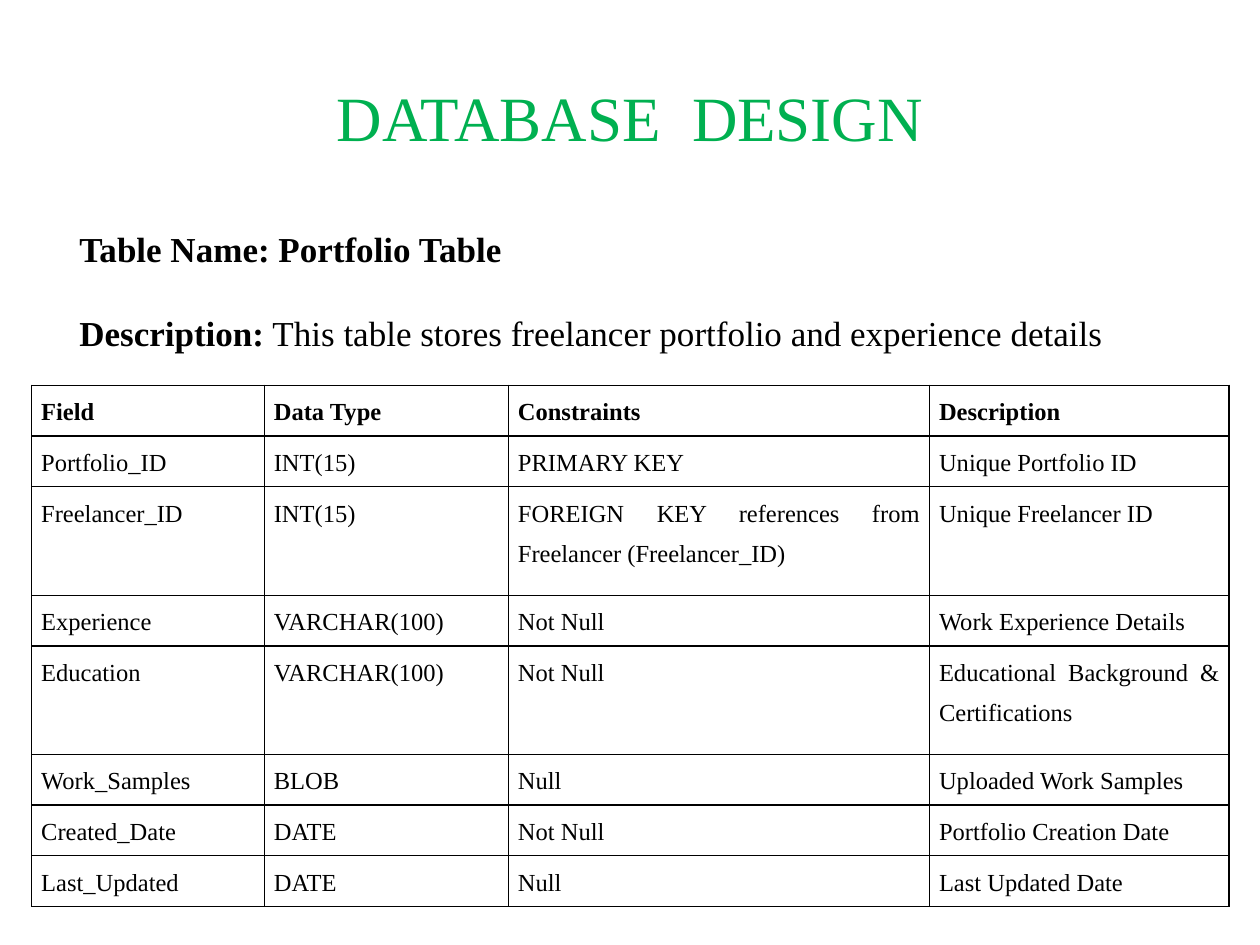
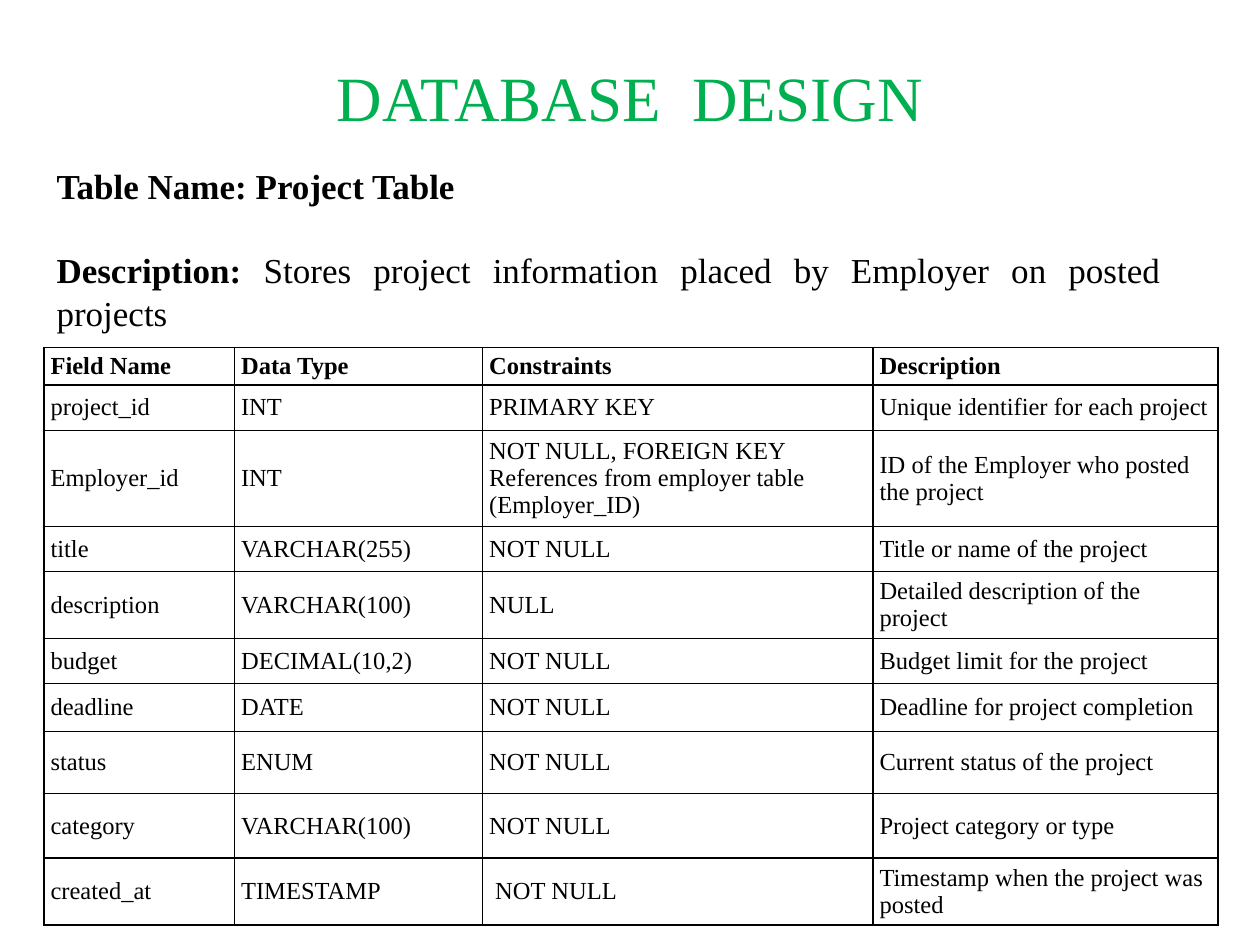
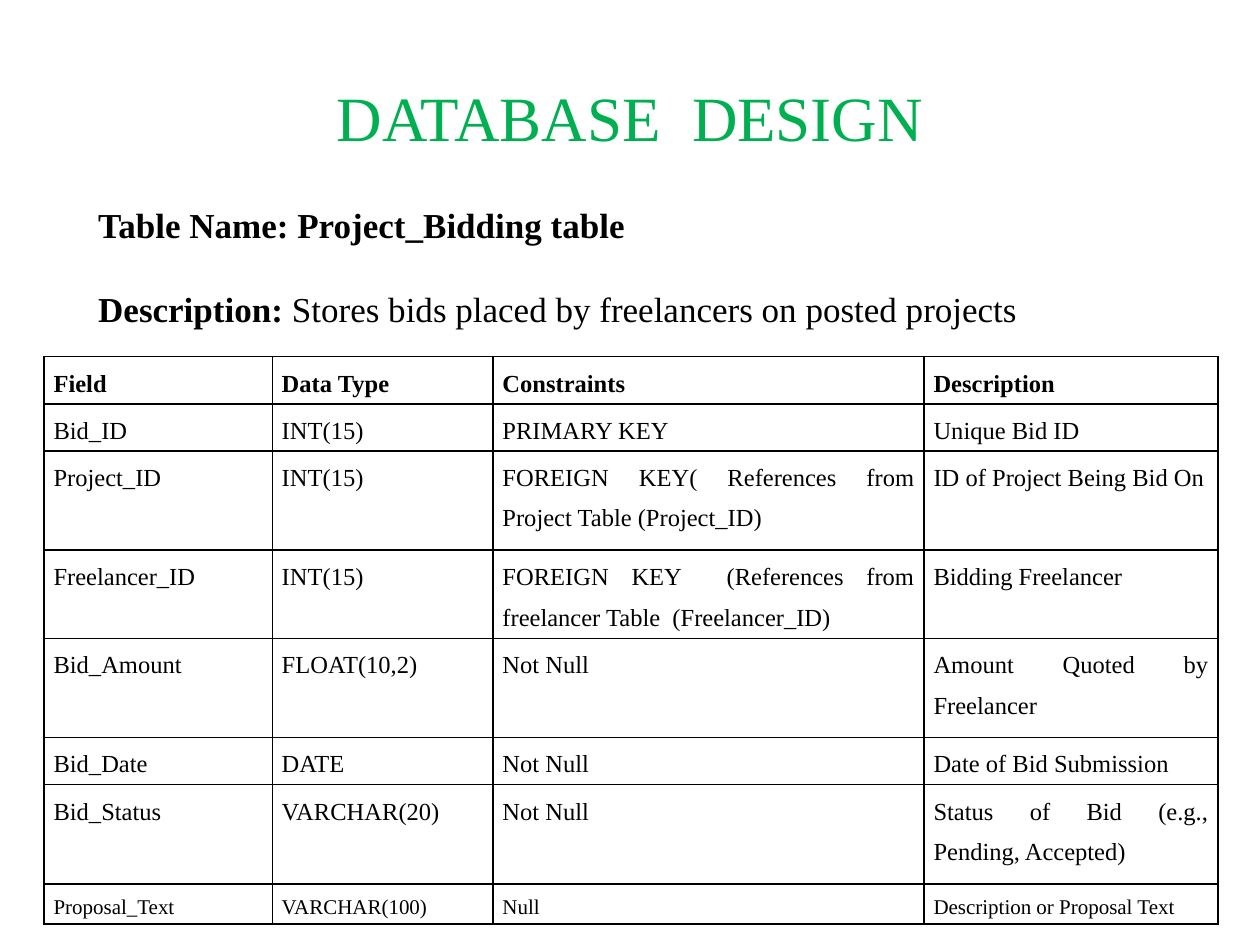
from lxml.etree import SubElement
from pptx import Presentation
from pptx.dml.color import RGBColor
from pptx.enum.text import MSO_ANCHOR as Anchor, MSO_AUTO_SIZE as AutoSize, PP_ALIGN as Align
from pptx.oxml.ns import qn
from pptx.util import Cm, Pt

BLACK = RGBColor(0x00, 0x00, 0x00)
GREEN = RGBColor(0x00, 0xB0, 0x50)
FONT = "Times New Roman"
TITLE = "DATABASE  DESIGN"

SPACED = {"align": Align.JUSTIFY, "line": 1.5, "anchor": Anchor.TOP, "side": 0.19, "edge": 0}
COMPACT = {"align": Align.LEFT, "line": 1.0, "anchor": Anchor.MIDDLE, "side": 0.13, "edge": 0.08}

DESIGNS = [
    {
        "name": "Portfolio Table",
        "description": "This table stores freelancer portfolio and experience details",
        "title_top": 0.76,
        "intro_box": (1.35, 4.45, 21.26, 2.82),
        "corner": (0.64, 7.77),
        "widths": (4.69, 4.92, 8.49, 6.04),
        "heights": (1.02, 1.02, 2.19, 1.02, 2.19, 1.02, 1.02, 1.02),
        "style": SPACED,
        "sizes": {},
        "fields": [
            ("Field", "Data Type", "Constraints", "Description"),
            ("Portfolio_ID", "INT(15)", "PRIMARY KEY", "Unique Portfolio ID"),
            ("Freelancer_ID", "INT(15)", "FOREIGN KEY references from Freelancer (Freelancer_ID)",
             "Unique Freelancer ID"),
            ("Experience", "VARCHAR(100)", "Not Null", "Work Experience Details"),
            ("Education", "VARCHAR(100)", "Not Null", "Educational Background & Certifications"),
            ("Work_Samples", "BLOB", "Null", "Uploaded Work Samples"),
            ("Created_Date", "DATE", "Not Null", "Portfolio Creation Date"),
            ("Last_Updated", "DATE", "Null", "Last Updated Date"),
        ],
    },
    {
        "name": "Project Table",
        "description": "Stores project information placed by Employer on posted projects",
        "title_top": 0.36,
        "intro_box": (0.89, 3.18, 22.76, 3.68),
        "corner": (0.89, 7.01),
        "widths": (3.84, 5.0, 7.87, 6.95),
        "heights": (0.72, 0.91, 1.91, 0.91, 1.31, 0.91, 0.96, 1.26, 1.3, 1.32),
        "style": COMPACT,
        "sizes": {},
        "fields": [
            ("Field Name", "Data Type", "Constraints", "Description"),
            ("project_id", "INT", "PRIMARY KEY", "Unique identifier for each project"),
            ("Employer_id", "INT", "NOT NULL, FOREIGN KEY References from employer table (Employer_ID)",
             "ID of the Employer who posted the project"),
            ("title", "VARCHAR(255)", "NOT NULL", "Title or name of the project"),
            ("description", "VARCHAR(100)", "NULL", "Detailed description of the project"),
            ("budget", "DECIMAL(10,2)", "NOT NULL", "Budget limit for the project"),
            ("deadline", "DATE", "NOT NULL", "Deadline for project completion"),
            ("status", "ENUM", "NOT NULL", "Current status of the project"),
            ("category", "VARCHAR(100)", "NOT NULL", "Project category or type"),
            ("created_at", "TIMESTAMP", " NOT NULL", "Timestamp when the project was posted"),
        ],
    },
    {
        "name": "Project_Bidding table",
        "description": "Stores bids placed by freelancers on posted projects",
        "title_top": 0.76,
        "intro_box": (1.73, 3.96, 21.92, 2.82),
        "corner": (0.89, 7.19),
        "widths": (4.6, 4.45, 8.69, 5.92),
        "heights": (0.95, 0.95, 2.0, 1.63, 2.0, 0.95, 2.0, 0.81),
        "style": SPACED,
        "sizes": {7: 12},
        "fields": [
            ("Field", "Data Type", "Constraints", "Description"),
            ("Bid_ID", "INT(15)", "PRIMARY KEY", "Unique Bid ID"),
            ("Project_ID", "INT(15)", "FOREIGN KEY( References from Project Table (Project_ID)",
             "ID of Project Being Bid On"),
            ("Freelancer_ID", "INT(15)", "FOREIGN KEY  (References from freelancer Table  (Freelancer_ID)",
             "Bidding Freelancer"),
            ("Bid_Amount", "FLOAT(10,2)", "Not Null", "Amount Quoted by Freelancer"),
            ("Bid_Date", "DATE", "Not Null", "Date of Bid Submission"),
            ("Bid_Status", "VARCHAR(20)", "Not Null", "Status of Bid (e.g., Pending, Accepted)"),
            ("Proposal_Text", "VARCHAR(100)", "Null", "Description or Proposal Text"),
        ],
    },
]


def set_font(font, size, color=BLACK, bold=False):
    """Apply the shared typeface with a size, colour and weight."""
    font.name, font.size, font.bold = FONT, Pt(size), bold
    font.color.rgb = color


def add_title(slide, top):
    """Place the green heading."""
    title = slide.shapes.title
    title.left, title.top, title.width, title.height = Cm(1.27), Cm(top), Cm(22.86), Cm(3.18)
    title.text_frame.text = TITLE
    title.text_frame.vertical_anchor = Anchor.MIDDLE
    heading = title.text_frame.paragraphs[0]
    heading.alignment = Align.CENTER
    set_font(heading.runs[0].font, 36, GREEN)


def add_intro(slide, design):
    """Write the table name and its description."""
    frame = slide.shapes.add_textbox(*map(Cm, design["intro_box"])).text_frame
    frame.word_wrap = True
    frame.auto_size = AutoSize.SHAPE_TO_FIT_TEXT
    frame.vertical_anchor = Anchor.MIDDLE
    name, description = frame.paragraphs[0], frame.add_paragraph()
    name.text = f"Table Name: {design['name']}"
    description.text = "Description:"
    description.add_run().text = f" {design['description']}"
    description.space_before = Pt(24)
    for paragraph in (name, description):
        paragraph.alignment = Align.JUSTIFY
        for position, run in enumerate(paragraph.runs):
            set_font(run.font, 20, bold=position == 0)


def add_borders(cell):
    """Draw a one-point black line on each side of a cell."""
    properties = cell._tc.get_or_add_tcPr()
    for side in ("a:lnL", "a:lnR", "a:lnT", "a:lnB"):
        line = SubElement(properties, qn(side), w=str(Pt(1)))
        SubElement(SubElement(line, qn("a:solidFill")), qn("a:srgbClr"), val=str(BLACK))


def fill_cell(cell, text, style, size, bold):
    """Write and format one table cell."""
    add_borders(cell)
    cell.fill.background()
    cell.margin_left = cell.margin_right = Cm(style["side"])
    cell.margin_top = cell.margin_bottom = Cm(style["edge"])
    cell.vertical_anchor = style["anchor"]
    cell.text_frame.text = text
    entry = cell.text_frame.paragraphs[0]
    entry.alignment, entry.line_spacing = style["align"], style["line"]
    set_font(entry.runs[0].font, size, bold=bold)


def add_fields(slide, design):
    """Build the grid of fields."""
    widths, heights = design["widths"], design["heights"]
    extent = (*design["corner"], sum(widths), sum(heights))
    grid = slide.shapes.add_table(len(heights), len(widths), *map(Cm, extent)).table
    for column, width in zip(grid.columns, widths):
        column.width = Cm(width)
    for number, (row, height, field) in enumerate(zip(grid.rows, heights, design["fields"])):
        row.height = Cm(height)
        for cell, text in zip(row.cells, field):
            fill_cell(cell, text, design["style"], design["sizes"].get(number, 14), number == 0)


def main():
    """Build the database design slides."""
    deck = Presentation()
    deck.slide_width, deck.slide_height = Cm(25.4), Cm(19.05)
    for design in DESIGNS:
        slide = deck.slides.add_slide(deck.slide_layouts[5])
        add_title(slide, design["title_top"])
        add_intro(slide, design)
        add_fields(slide, design)
    deck.save("out.pptx")


if __name__ == "__main__":
    main()
